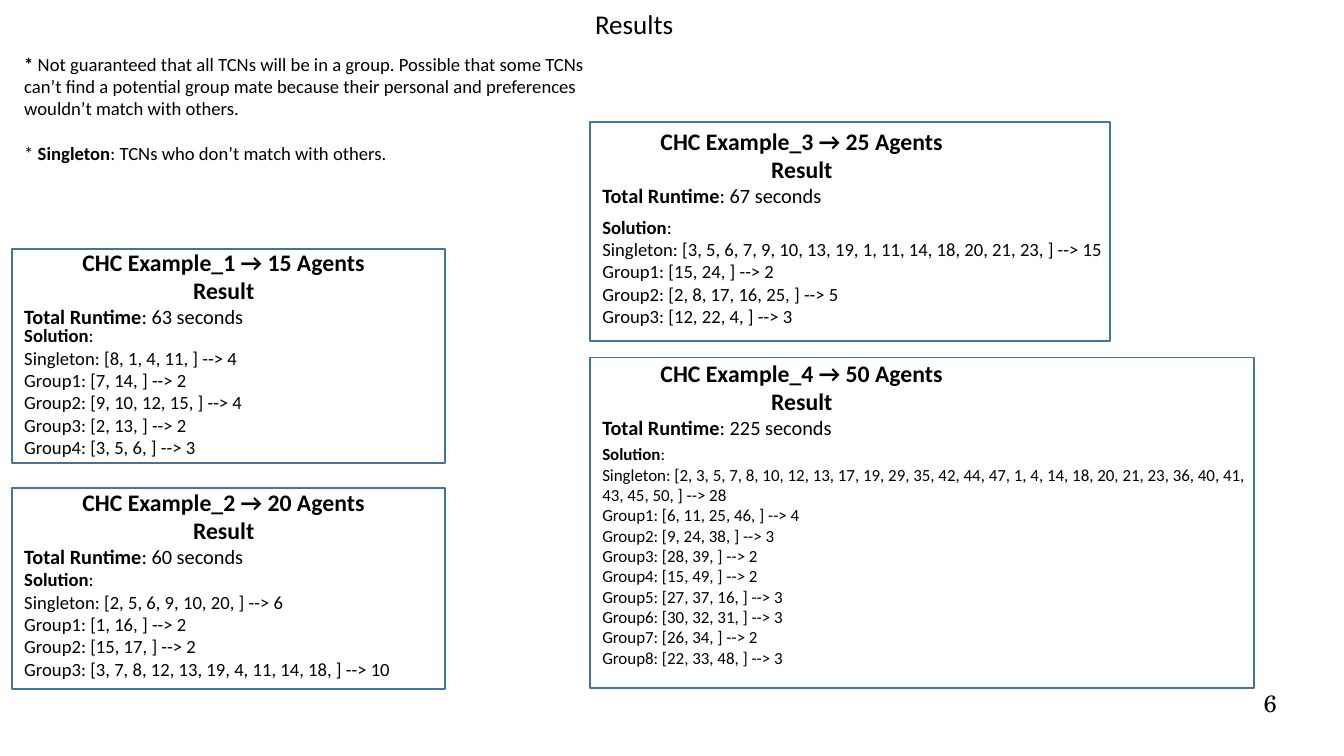
"""Build the results slide comparing four CHC example runs."""
from dataclasses import dataclass

from pptx import Presentation
from pptx.dml.color import RGBColor
from pptx.enum import shapes, text
from pptx.util import Pt


@dataclass(frozen=True)
class Theme:
    font: str = "Calibri"
    number_font: str = "TeX Gyre Schola"
    ink: str = "000000"
    frame: str = "43739E"
    title: int = 16
    heading: int = 14
    runtime: int = 12
    body: int = 11
    small: int = 10


class ResultsSlide:
    def __init__(self, slide, theme):
        self.slide = slide
        self.theme = theme

    def text_box(self, x, y, w, h, inset=(7.2, 3.6), fit=True):
        sp = self.slide.shapes.add_textbox(Pt(x), Pt(y), Pt(w), Pt(h))
        tf = sp.text_frame
        tf.word_wrap = True
        tf.margin_left = tf.margin_right = Pt(inset[0])
        tf.margin_top = tf.margin_bottom = Pt(inset[1])
        if fit:
            tf.auto_size = text.MSO_AUTO_SIZE.SHAPE_TO_FIT_TEXT
        return tf

    def paragraph(self, tf, size, *runs, align="LEFT", font=None):
        p = tf.add_paragraph() if tf.paragraphs[0].runs else tf.paragraphs[0]
        p.alignment = getattr(text.PP_ALIGN, align)
        for words, bold in runs:
            r = p.add_run()
            r.text = words
            r.font.name = font or self.theme.font
            r.font.size = Pt(size)
            r.font.bold = bold
            r.font.color.rgb = RGBColor.from_string(self.theme.ink)
        return p

    def title(self, words):
        tf = self.text_box(17.3, 0.7, 714.2, 26.6)
        self.paragraph(tf, self.theme.title, (words, False), align="CENTER")

    def page_number(self, words):
        tf = self.text_box(568.8, 406.8, 185, 31, inset=(0, 0), fit=False)
        self.paragraph(tf, self.theme.heading, (words, False),
                       align="RIGHT", font=self.theme.number_font)

    def notes(self, x, y, w, h, *paragraphs):
        tf = self.text_box(x, y, w, h)
        for runs in paragraphs:
            p = self.paragraph(tf, self.theme.body, *runs)
            p.space_after = Pt(13.4)
        p.space_after = Pt(0)

    def frame(self, x, y, w, h):
        sp = self.slide.shapes.add_shape(
            shapes.MSO_SHAPE.RECTANGLE, Pt(x), Pt(y), Pt(w), Pt(h))
        sp.shadow.inherit = False
        sp.fill.background()
        sp.line.color.rgb = RGBColor.from_string(self.theme.frame)
        sp.line.width = Pt(1)

    def heading(self, x, y, number, agents, seconds):
        tf = self.text_box(x, y, 249.8, 56.2)
        for words in (f"CHC Example_{number} → {agents} Agents", "Result"):
            self.paragraph(tf, self.theme.heading, (words, True), align="CENTER")
        self.paragraph(tf, self.theme.runtime, ("Total Runtime", True),
                       (f": {seconds} seconds", False))

    def solution(self, x, y, w, h, size, groups):
        tf = self.text_box(x, y, w, h)
        self.paragraph(tf, size, ("Solution", True), (":", False))
        for i, members in enumerate(groups):
            name = f"Group{i}" if i else "Singleton"
            listing = "".join(f"{m}, " for m in members)
            self.paragraph(tf, size, (f"{name}: [{listing}] --> {len(members)}", False))


def main():
    prs = Presentation()
    prs.slide_width, prs.slide_height = Pt(793.44), Pt(446.4)
    theme = Theme()
    page = ResultsSlide(prs.slides.add_slide(prs.slide_layouts[6]), theme)
    left, right = 7.2, 348.5

    page.page_number("6")
    page.title("Results")
    page.notes(
        left, 27.4, 346.3, 74.9,
        [("* ", True),
         ("Not guaranteed that all TCNs will be in a group. Possible that some "
          "TCNs can’t find a potential group mate because their personal and "
          "preferences wouldn’t match with others.", False)],
        [("* ", False), ("Singleton", True),
         (": TCNs who don’t match with others.", False)])

    examples = [
        (left, (15, 63), 142.5, (187.9, 236.9, 88.6), (146.9, 255.6, 126.7), theme.body,
         [[8, 1, 4, 11], [7, 14], [9, 10, 12, 15], [2, 13], [3, 5, 6]]),
        (left, (20, 60), 284.4, (331.9, 255.6, 74.9), (288, 255.6, 118.8), theme.body,
         [[2, 5, 6, 9, 10, 20], [1, 16], [15, 17],
          [3, 7, 8, 12, 13, 19, 4, 11, 14, 18]]),
        (right, (25, 67), 71.3, (123.8, 344.9, 74.9), (72, 306.7, 129.6), theme.body,
         [[3, 5, 6, 7, 9, 10, 13, 19, 1, 11, 14, 18, 20, 21, 23],
          [15, 24], [2, 8, 17, 16, 25], [12, 22, 4]]),
        (right, (50, 225), 208.1, (258.5, 405.4, 142.6), (211, 391.7, 195.1), theme.small,
         [[2, 3, 5, 7, 8, 10, 12, 13, 17, 19, 29, 35, 42, 44, 47, 1, 4, 14,
           18, 20, 21, 23, 36, 40, 41, 43, 45, 50],
          [6, 11, 25, 46], [9, 24, 38], [28, 39], [15, 49], [27, 37, 16],
          [30, 32, 31], [26, 34], [22, 33, 48]]),
    ]
    for number, (x, run, top, body, frame, size, groups) in enumerate(examples, 1):
        page.heading(x, top, number, *run)
        page.solution(x, *body, size, groups)
        page.frame(x, *frame)

    prs.save("out.pptx")


if __name__ == "__main__":
    main()
